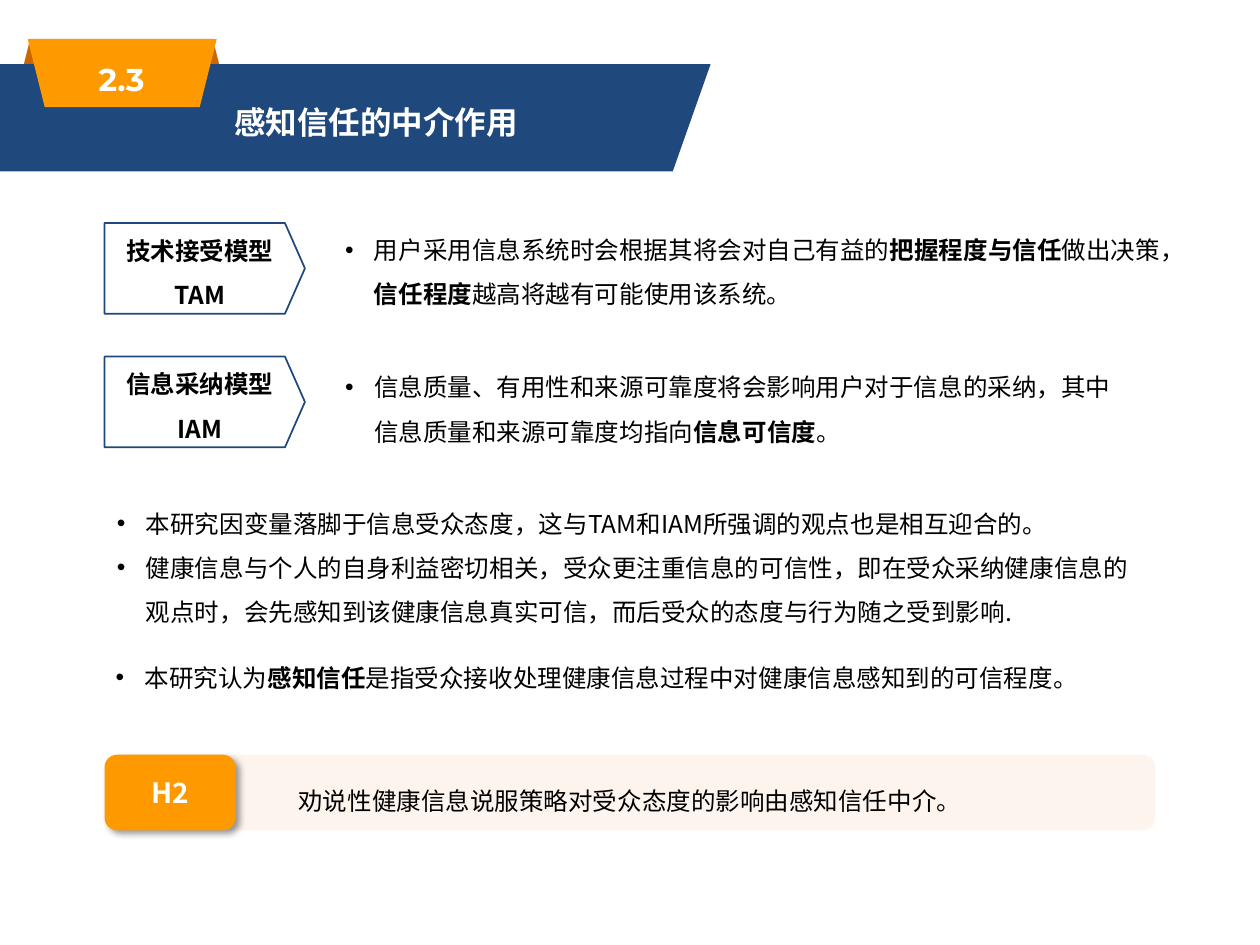
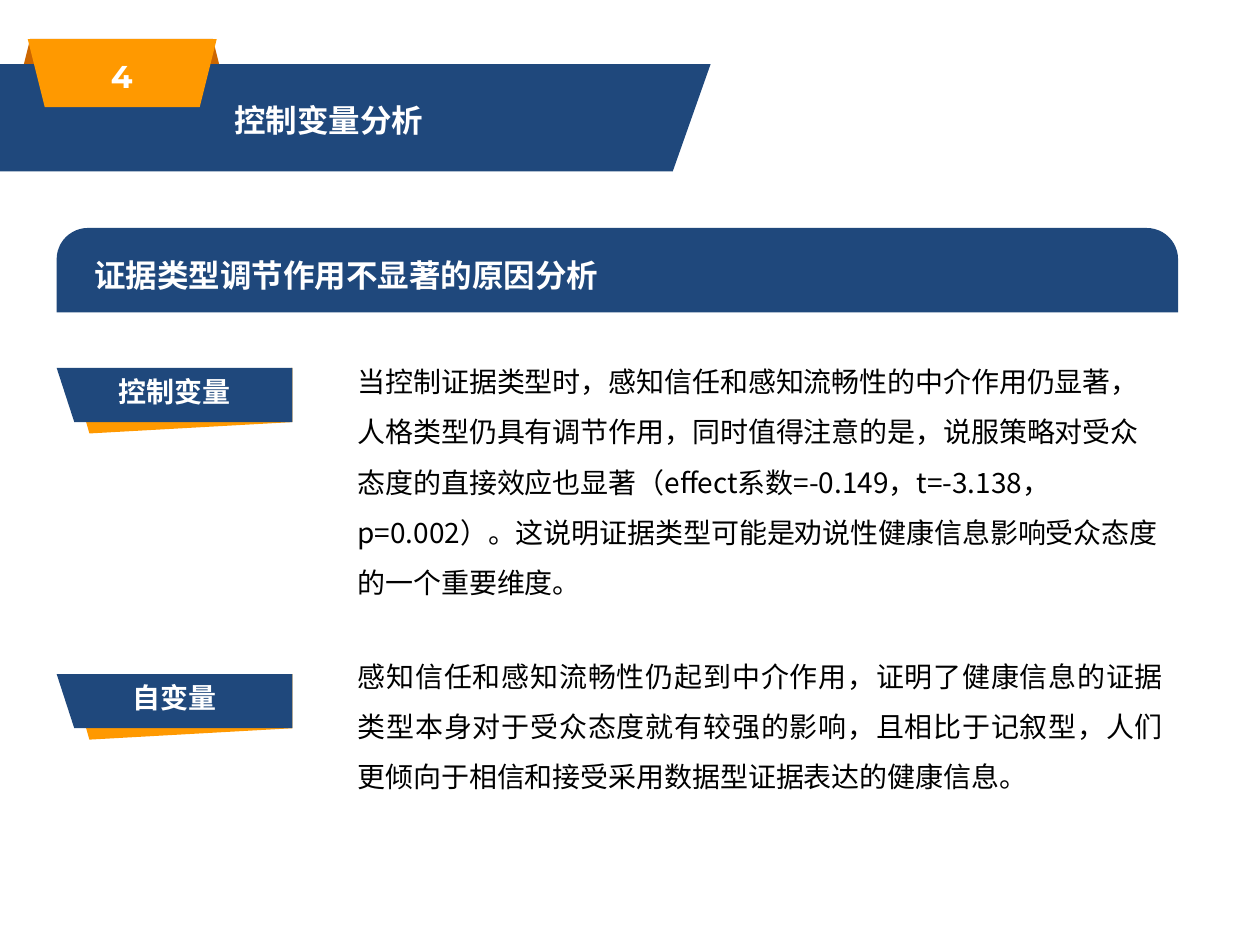
import pptx
import pptx.util
import pptx.dml.color
import pptx.enum.shapes
import pptx.enum.text
import pptx.oxml
import pptx.oxml.ns

Inches = pptx.util.Inches
Pt = pptx.util.Pt
RGB = pptx.dml.color.RGBColor
SHAPE = pptx.enum.shapes.MSO_SHAPE
ALIGN = pptx.enum.text.PP_ALIGN
ANCHOR = pptx.enum.text.MSO_ANCHOR
AUTO = pptx.enum.text.MSO_AUTO_SIZE
qn = pptx.oxml.ns.qn

NAVY = RGB(0x1F, 0x48, 0x7C)
ORANGE = RGB(0xFF, 0x99, 0x00)
RUST = RGB(0xCC, 0x66, 0x00)
PEACH = RGB(0xFB, 0xE5, 0xD6)
WHITE = RGB(0xFF, 0xFF, 0xFF)
BLACK = RGB(0, 0, 0)
SANS = "Noto Sans CJK SC"
NUMBER_FONT = "Montserrat"

# Content; ** marks the start and end of bold words.
TRUST = {"number": "2.3", "title": "感知信任的中介作用", "title_top": 0.62}
MODELS = [
    # label lines, label top, explanation, explanation top and width
    (["技术接受模型", "TAM"], 1.77,
     "用户采用信息系统时会根据其将会对自己有益的**把握程度与信任**做出决策，"
     "**信任程度**越高将越有可能使用该系统。", 1.7, 6.67),
    (["信息采纳模型", "IAM"], 2.83,
     "信息质量、有用性和来源可靠度将会影响用户对于信息的采纳，"
     "其中信息质量和来源可靠度均指向**信息可信度**。", 2.79, 6.28),
]
VIEWS = [
    "本研究因变量落脚于信息受众态度，这与TAM和IAM所强调的观点也是相互迎合的。",
    "健康信息与个人的自身利益密切相关，受众更注重信息的可信性，即在受众采纳健康信息的"
    "观点时，会先感知到该健康信息真实可信，而后受众的态度与行为随之受到影响.",
]
DEFINITION = "本研究认为**感知信任**是指受众接收处理健康信息过程中对健康信息感知到的可信程度。"
HYPOTHESIS = ("H2", "劝说性健康信息说服策略对受众态度的影响由感知信任中介。")

CONTROL = {"number": "4", "title": "控制变量分析", "title_top": 0.6}
REASON_HEADING = "证据类型调节作用不显著的原因分析"
REASONS = [
    # ribbon label, ribbon top, text, text top and height, alignment
    ("控制变量", 2.92,
     "当控制证据类型时，感知信任和感知流畅性的中介作用仍显著，人格类型仍具有调节作用，"
     "同时值得注意的是，说服策略对受众态度的直接效应也显著（effect系数=-0.149，t=-3.138，"
     "p=0.002）。这说明证据类型可能是劝说性健康信息影响受众态度的一个重要维度。",
     2.71, 2.07, ALIGN.LEFT),
    ("自变量", 5.35,
     "感知信任和感知流畅性仍起到中介作用，证明了健康信息的证据类型本身对于受众态度就有"
     "较强的影响，且相比于记叙型，人们更倾向于相信和接受采用数据型证据表达的健康信息。",
     5.05, 1.27, ALIGN.JUSTIFY),
]

BAND = [(0, 0.51), (5.64, 0.51), (5.34, 1.36), (0, 1.36)]
RIBBON_FOLD = [(0.59, 0.1), (2.32, 0), (2.32, 0.43), (0.71, 0.52)]
RIBBON_FACE = [(0.45, 0), (2.32, 0), (2.32, 0.43), (0.59, 0.43)]
LABEL_LEFT = 0.83


def write(sp, paragraphs, size=14, color=BLACK, bold=False, font=SANS, bullet=False,
          indent=0, frame=None, **paragraph_format):
    """Fill a shape with text; frame and paragraph_format hold attributes to set."""
    tf = sp.text_frame
    for name, value in {"word_wrap": True, **(frame or {})}.items():
        setattr(tf, name, value)
    for i, text in enumerate(paragraphs):
        p = tf.add_paragraph() if i else tf.paragraphs[0]
        for name, value in {"alignment": ALIGN.LEFT, **paragraph_format}.items():
            setattr(p, name, value)
        pPr = p._p.get_or_add_pPr()
        if bullet:
            pPr.set("marL", str(Inches(0.23)))
            pPr.set("indent", str(-Inches(0.23)))
            add_xml(pPr, '<a:buFont %s typeface="Arial"/>')
            add_xml(pPr, '<a:buChar %s char="•"/>')
        elif indent:
            pPr.set("marL", "0")
            pPr.set("indent", str(Inches(indent)))
        for j, part in enumerate(text.split("**")):
            if not part:
                continue
            r = p.add_run()
            r.text = part
            r.font.color.rgb = color
            for name, value in {"size": Pt(size), "name": font,
                                "bold": bold or j % 2 == 1}.items():
                setattr(r.font, name, value)
            rPr = r._r.get_or_add_rPr()
            rPr.set("lang", "zh-CN")
            rPr.find(qn("a:latin")).addnext(
                pptx.oxml.parse_xml('<a:ea %s typeface="%s"/>' % (
                    pptx.oxml.ns.nsdecls("a"), font)))


def add_xml(parent, xml):
    parent.append(pptx.oxml.parse_xml(xml % pptx.oxml.ns.nsdecls("a")))


def paint(sp, fill=None, line=None):
    sp.shadow.inherit = False
    if fill is None:
        sp.fill.background()
    else:
        sp.fill.solid()
        sp.fill.fore_color.rgb = fill
    if line is None:
        sp.line.fill.background()
    else:
        sp.line.color.rgb = line
        sp.line.width = Pt(1)
    return sp


def add_box(slide, kind, box, fill=None, line=None):
    return paint(slide.shapes.add_shape(kind, *map(Inches, box)), fill, line)


def add_outline(slide, points, fill, top=0):
    points = [(Inches(x), Inches(top + y)) for x, y in points]
    builder = slide.shapes.build_freeform(*points[0], scale=1.0)
    builder.add_line_segments(points[1:], close=True)
    return paint(builder.convert_to_shape(), fill)


def add_text(slide, box, paragraphs, frame=None, **style):
    sp = slide.shapes.add_textbox(*map(Inches, box))
    write(sp, paragraphs, frame=frame or {"auto_size": AUTO.SHAPE_TO_FIT_TEXT}, **style)


def put_band_on_layout(layout, slide):
    """Draw the header band and move it behind the layout's title."""
    title = None
    for ph in list(layout.placeholders):
        if ph.placeholder_format.idx == 0:
            title = ph
        else:
            ph.element.getparent().remove(ph.element)
    back = add_box(slide, SHAPE.TRAPEZOID, (0.13, 0.31, 1.67, 0.44), RUST)
    band = add_outline(slide, BAND, NAVY)
    front = add_box(slide, SHAPE.TRAPEZOID, (0.22, 0.31, 1.5, 0.54), ORANGE)
    front.rotation = 180
    for sp in (back, band, front):
        title.element.addprevious(sp.element)


def add_header(slide, number, title, title_top):
    sp = slide.shapes.title
    for name, value in zip(("left", "top", "width", "height"), (1.76, title_top, 3.85, 0.5)):
        setattr(sp, name, Inches(value))
    write(sp, [title], size=18, color=WHITE, bold=True, line_spacing=1.5,
          space_before=Pt(7.5),
          frame={"vertical_anchor": ANCHOR.TOP, "auto_size": AUTO.SHAPE_TO_FIT_TEXT})
    add_text(slide, (0.17, title_top - 0.17, 1.59, 0.39), [number], size=18, color=WHITE,
             bold=True, font=NUMBER_FONT, alignment=ALIGN.CENTER, line_spacing=0.9,
             space_before=Pt(10), frame={"vertical_anchor": ANCHOR.MIDDLE})


def add_hypothesis(slide, label, text):
    panel = add_box(slide, SHAPE.ROUNDED_RECTANGLE, (1.24, 5.99, 7.93, 0.6), PEACH)
    add_xml(panel.element.spPr.find(qn("a:solidFill"))[0], '<a:alpha %s val="40000"/>')
    tag = add_box(slide, SHAPE.ROUNDED_RECTANGLE, (LABEL_LEFT, 5.99, 1.04, 0.6), ORANGE)
    add_xml(tag.element.spPr.find(qn("a:effectLst")),
            '<a:outerShdw %%s blurRad="%d" dist="%d" dir="2700000" algn="tl" rotWithShape="0">'
            '<a:srgbClr val="000000"><a:alpha val="40000"/></a:srgbClr></a:outerShdw>'
            % (Pt(4), Pt(3)))
    write(tag, [label], size=16, color=WHITE, bold=True, alignment=ALIGN.CENTER,
          frame={"vertical_anchor": ANCHOR.MIDDLE})
    add_text(slide, (2.05, 6.07, 5.72, 0.41), [text], indent=0.22,
             alignment=ALIGN.JUSTIFY, line_spacing=1.5)


def build_trust(slide):
    add_header(slide, **TRUST)
    for label, top, text, text_top, text_width in MODELS:
        add_text(slide, (2.64, text_top, text_width, 0.77), [text], bullet=True,
                 line_spacing=1.5)
        sp = add_box(slide, SHAPE.PENTAGON, (LABEL_LEFT, top, 1.59, 0.72), line=NAVY)
        sp.adjustments[0] = 0.22
        write(sp, label, bold=True, alignment=ALIGN.CENTER, line_spacing=1.5,
              frame={"vertical_anchor": ANCHOR.MIDDLE, "margin_top": 0})
    add_text(slide, (LABEL_LEFT, 3.87, 8.34, 1.12), VIEWS, bullet=True, line_spacing=1.5)
    add_text(slide, (0.82, 5.21, 8.2, 0.34), [DEFINITION], bullet=True)
    add_hypothesis(slide, *HYPOTHESIS)


def build_control(slide):
    add_header(slide, **CONTROL)
    bar = add_box(slide, SHAPE.ROUND_2_SAME_RECTANGLE, (0.45, 1.81, 8.9, 0.67), NAVY)
    bar.adjustments[0] = 0.37
    add_text(slide, (0.65, 1.98, 8.41, 0.4), [REASON_HEADING], size=18, color=WHITE, bold=True)
    for label, top, text, text_top, text_height, alignment in REASONS:
        add_outline(slide, RIBBON_FOLD, ORANGE, top)
        add_outline(slide, RIBBON_FACE, NAVY, top)
        add_text(slide, (0.45, top, 1.87, 0.37), [label], size=16, color=WHITE, bold=True,
                 alignment=ALIGN.CENTER)
        add_text(slide, (2.74, text_top, 6.6, text_height), [text], size=16,
                 alignment=alignment, line_spacing=1.5)


def main():
    prs = pptx.Presentation()
    prs.slide_width, prs.slide_height = Inches(10), Inches(7.5)
    layout = prs.slide_layouts[5]
    trust, control = (prs.slides.add_slide(layout) for _ in range(2))
    put_band_on_layout(layout, trust)
    build_trust(trust)
    build_control(control)
    prs.save("out.pptx")


if __name__ == "__main__":
    main()
